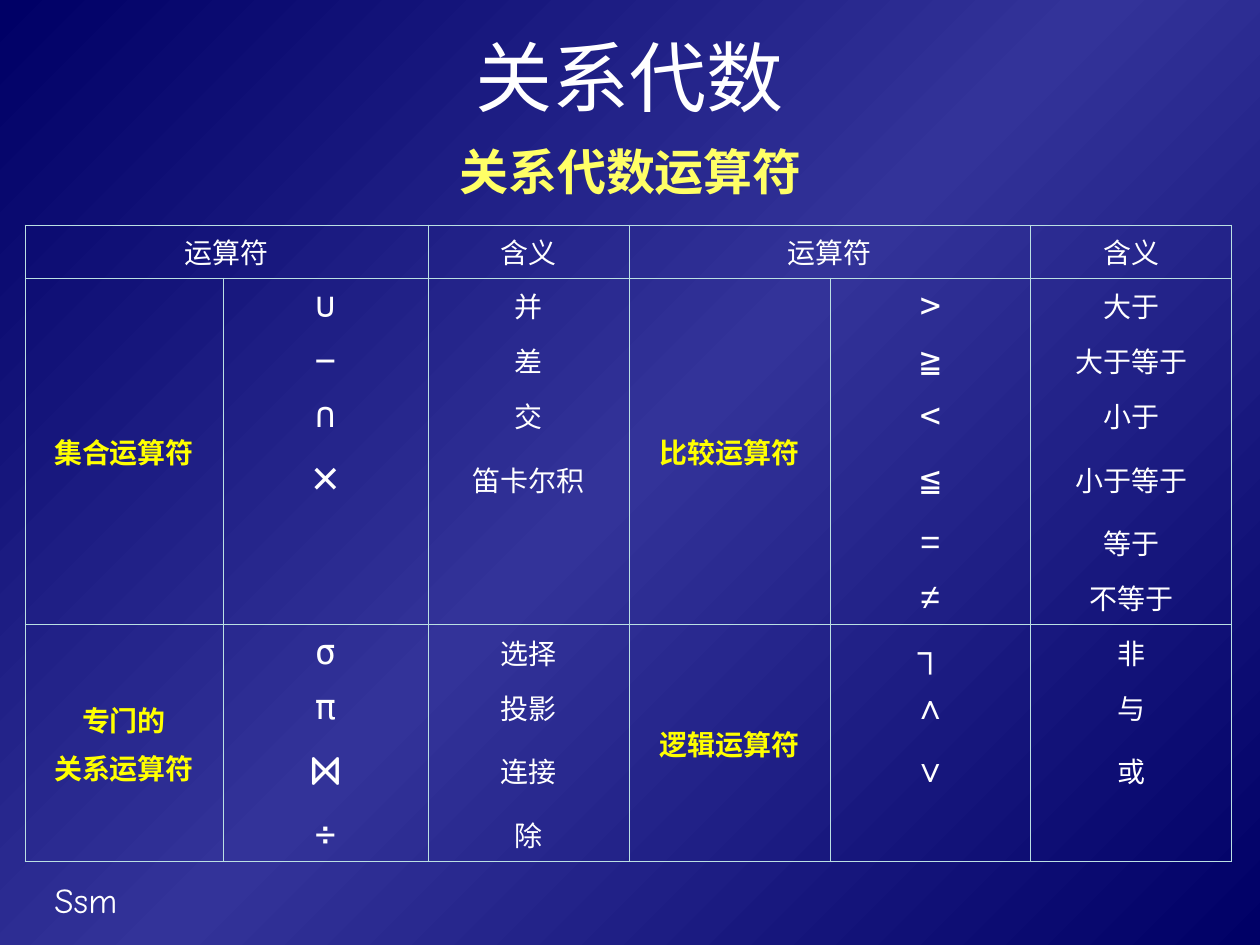
from dataclasses import dataclass

from lxml import etree
from pptx import Presentation
from pptx.dml.color import RGBColor
from pptx.enum.text import MSO_ANCHOR, MSO_AUTO_SIZE, PP_ALIGN
from pptx.oxml import parse_xml
from pptx.oxml.ns import qn
from pptx.util import Pt

CENTER, LEFT = PP_ALIGN.CENTER, PP_ALIGN.LEFT
MIDDLE, TOP = MSO_ANCHOR.MIDDLE, MSO_ANCHOR.TOP
NO_FIT, GROW = MSO_AUTO_SIZE.NONE, MSO_AUTO_SIZE.SHAPE_TO_FIT_TEXT

PIXELS_PER_INCH = 126
DRAWING_NAMESPACE = "http://schemas.openxmlformats.org/drawingml/2006/main"
PLAIN_TABLE_STYLE = "{2D5ABB26-0587-4C30-8999-92F81FD0307C}"


@dataclass(frozen=True)
class Theme:
    edge: str = "000066"
    middle: str = "333399"
    text: str = "FFFFFF"
    subtitle: str = "FFFF66"
    group: str = "FFFF00"
    border: str = "BBE0E3"
    sans: str = "Arial"
    mono: str = "DejaVu Sans Mono"
    footer_font: str = "Comic Neue"
    title_size: int = 44
    large_size: int = 28
    symbol_size: int = 20
    label_size: int = 16
    border_width: float = 0.45


THEME = Theme()

# Table content: each block has a left and a right operator group
HEADERS = {0: "运算符", 2: "含义", 3: "运算符", 5: "含义"}
COLUMN_WIDTHS = [198, 205, 201, 201, 201, 201]
HEADER_HEIGHT, ROW_HEIGHT, TALL_ROW_HEIGHT = 53, 55, 72
BLOCKS = [
    (("集合运算符", [("∪", "并"), ("−", "差"), ("∩", "交"), ("×", "笛卡尔积")]),
     ("比较运算符", [(">", "大于"), ("≧", "大于等于"), ("<", "小于"),
                ("≦", "小于等于"), ("=", "等于"), ("≠", "不等于")])),
    (("专门的\n关系运算符", [("σ", "选择"), ("π", "投影"), ("⋈", "连接"), ("÷", "除")]),
     ("逻辑运算符", [("┐", "非"), ("∧", "与"), ("∨", "或")])),
]
LARGE_SYMBOLS = "×⋈"
SANS_SYMBOLS = "×=≠┐∧∨"


def px(length):
    return round(length * 914400 / PIXELS_PER_INCH)


def write_text(frame, text, size, font, color, bold=False, align=CENTER):
    frame.text = text
    for index, paragraph in enumerate(frame.paragraphs):
        paragraph.alignment = align
        if index:
            paragraph.space_before = Pt(size / 4)
        paragraph.font.size = Pt(size)
        paragraph.font.name = font
        paragraph.font.bold = bold
        paragraph.font.color.rgb = RGBColor.from_string(color)


def set_background(slide):
    stops = "".join(
        f'<a:gs pos="{position * 1000}"><a:srgbClr val="{color}"/></a:gs>'
        for position, color in ((0, THEME.edge), (50, THEME.middle), (100, THEME.edge)))
    slide.background.fill.solid()
    properties = slide.element.find(".//" + qn("p:bgPr"))
    properties.replace(properties[0], parse_xml(
        f'<a:gradFill xmlns:a="{DRAWING_NAMESPACE}" rotWithShape="0"><a:gsLst>{stops}'
        '</a:gsLst><a:lin ang="13500000" scaled="1"/></a:gradFill>'))


def add_title(slide, text):
    title = slide.shapes.title
    title.left, title.top, title.width, title.height = map(px, (63, 21, 1134, 110))
    write_text(title.text_frame, text, THEME.title_size, THEME.sans, THEME.text)
    title.text_frame.vertical_anchor = MIDDLE
    title.text_frame.auto_size = NO_FIT


def add_text_box(slide, box, text, **style):
    frame = slide.shapes.add_textbox(*map(px, box)).text_frame
    frame.word_wrap = True
    frame.auto_size = GROW
    frame.vertical_anchor = TOP
    write_text(frame, text, **style)


def set_borders(cell, sides):
    properties = cell._tc.get_or_add_tcPr()
    for side in "LRTB":
        line = etree.SubElement(properties, qn(f"a:ln{side}"))
        if side in sides:
            line.set("w", str(Pt(THEME.border_width)))
            fill = etree.SubElement(line, qn("a:solidFill"))
            etree.SubElement(fill, qn("a:srgbClr"), val=THEME.border)
        else:
            etree.SubElement(line, qn("a:noFill"))
    cell.fill.background()


def write_label(cell, text, color=THEME.text, bold=False):
    cell.vertical_anchor = MIDDLE
    write_text(cell.text_frame, text, THEME.label_size, THEME.mono, color, bold)


def write_symbol(cell, symbol):
    cell.vertical_anchor = MIDDLE
    size = THEME.large_size if symbol in LARGE_SYMBOLS else THEME.symbol_size
    font = THEME.sans if symbol in SANS_SYMBOLS else THEME.mono
    write_text(cell.text_frame, symbol, size, font, THEME.text)


def write_group(table, first_row, row_count, column, name, operators):
    group = table.cell(first_row, column)
    group.merge(table.cell(first_row + row_count - 1, column))
    write_label(group, name, THEME.group, True)
    for row, (symbol, meaning) in enumerate(operators, first_row):
        write_symbol(table.cell(row, column + 1), symbol)
        write_label(table.cell(row, column + 2), meaning)
        if symbol in LARGE_SYMBOLS:
            table.rows[row].height = px(TALL_ROW_HEIGHT)


def add_operator_table(slide):
    block_heights = [max(len(operators) for _, operators in block) for block in BLOCKS]
    row_count = 1 + sum(block_heights)
    frame = slide.shapes.add_table(row_count, len(COLUMN_WIDTHS), px(25), px(225),
                                   px(sum(COLUMN_WIDTHS)), px(ROW_HEIGHT * row_count))
    table = frame.table
    table.first_row = table.horz_banding = False
    table._tbl.tblPr.find(qn("a:tableStyleId")).text = PLAIN_TABLE_STYLE
    for column, width in zip(table.columns, COLUMN_WIDTHS):
        column.width = px(width)
    for row in table.rows:
        row.height = px(ROW_HEIGHT)
    table.rows[0].height = px(HEADER_HEIGHT)

    # Header row
    for column, text in HEADERS.items():
        write_label(table.cell(0, column), text)
    for column in (0, 3):
        table.cell(0, column).merge(table.cell(0, column + 1))

    # Operator groups
    block_starts = [0]
    first_row = 1
    for block, height in zip(BLOCKS, block_heights):
        block_starts.append(first_row)
        for column, (name, operators) in zip((0, 3), block):
            write_group(table, first_row, height, column, name, operators)
        first_row += height

    # Horizontal lines only around each block
    block_ends = [start - 1 for start in block_starts[1:]] + [row_count - 1]
    for row in range(row_count):
        for column in range(len(COLUMN_WIDTHS)):
            cell = table.cell(row, column)
            sides = "LR"
            if row in block_starts or cell.is_merge_origin:
                sides += "T"
            if row in block_ends or cell.is_merge_origin:
                sides += "B"
            set_borders(cell, sides)


def main():
    presentation = Presentation()
    presentation.slide_width, presentation.slide_height = px(1260), px(945)
    slide = presentation.slides.add_slide(presentation.slide_layouts[5])
    set_background(slide)
    add_text_box(slide, (42, 872, 262, 55), "Ssm", size=THEME.symbol_size,
                 font=THEME.footer_font, color=THEME.text, align=LEFT)
    add_title(slide, "关系代数")
    add_operator_table(slide)
    add_text_box(slide, (432, 135, 397, 72), "关系代数运算符", size=THEME.large_size,
                 font=THEME.sans, color=THEME.subtitle, bold=True)
    presentation.save("out.pptx")


if __name__ == "__main__":
    main()
